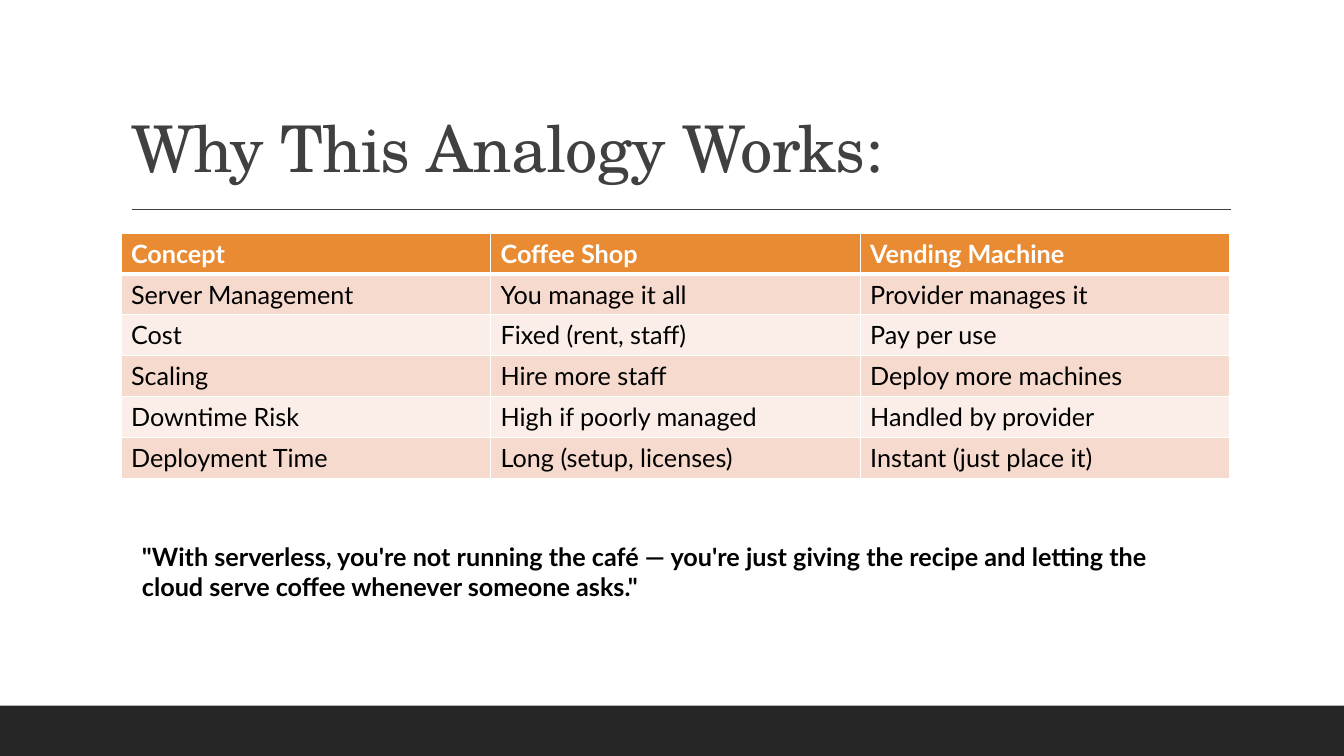
from lxml.etree import SubElement
from pptx import Presentation
from pptx.dml.color import RGBColor
from pptx.enum.shapes import MSO_CONNECTOR, MSO_SHAPE
from pptx.enum.text import MSO_ANCHOR, MSO_AUTO_SIZE, PP_ALIGN
from pptx.oxml.ns import qn
from pptx.util import Pt

WHITE = RGBColor(0xFF, 0xFF, 0xFF)
BLACK = RGBColor(0, 0, 0)
GRAY = RGBColor(0x40, 0x40, 0x40)
DARK = RGBColor(0x26, 0x26, 0x26)
ORANGE = RGBColor(0xE8, 0x8B, 0x33)
PEACH = RGBColor(0xF6, 0xDA, 0xCE)
PALE = RGBColor(0xFB, 0xEE, 0xE8)

ROWS = [
    ("Concept", "Coffee Shop", "Vending Machine"),
    ("Server Management", "You manage it all", "Provider manages it"),
    ("Cost", "Fixed (rent, staff)", "Pay per use"),
    ("Scaling", "Hire more staff", "Deploy more machines"),
    ("Downtime Risk", "High if poorly managed", "Handled by provider"),
    ("Deployment Time", "Long (setup, licenses)", "Instant (just place it)"),
]
QUOTE = (
    "\"With serverless, you're not running the café — you're just giving "
    "the recipe and letting the cloud serve coffee whenever someone asks.\""
)


def write(frame, text, font="Lato", size=18, color=BLACK, bold=False, lead=None, space=0):
    para = frame.paragraphs[0]
    para.alignment = PP_ALIGN.LEFT
    if lead:
        para.line_spacing = lead
    run = para.add_run()
    run.text = text
    run.font.name = font
    run.font.size = Pt(size)
    run.font.bold = bold
    run.font.color.rgb = color
    if space:
        run.font._element.set("spc", str(int(space * 100)))


def add_bar(slide):
    bar = slide.shapes.add_shape(MSO_SHAPE.RECTANGLE, Pt(0), Pt(504), Pt(960), Pt(36))
    bar.shadow.inherit = False
    bar.fill.solid()
    bar.fill.fore_color.rgb = DARK
    bar.line.fill.background()


def add_rule(slide):
    rule = slide.shapes.add_connector(
        MSO_CONNECTOR.STRAIGHT, Pt(94.3), Pt(149.5), Pt(879), Pt(149.5))
    rule.line.color.rgb = GRAY
    rule.line.width = Pt(1)
    SubElement(rule._element.spPr, qn("a:effectLst"))


def set_title(slide, text):
    title = slide.shapes.title
    title.left, title.top, title.width, title.height = Pt(86.4), Pt(22.5), Pt(792), Pt(114.2)
    frame = title.text_frame
    frame.auto_size = MSO_AUTO_SIZE.NONE
    frame.vertical_anchor = MSO_ANCHOR.BOTTOM
    write(frame, text, font="TeX Gyre Schola", size=46, color=GRAY, lead=0.9, space=-0.5)


def set_edges(cell, **widths):
    props = cell._tc.get_or_add_tcPr()
    for side in "LRTB":
        edge = SubElement(props, qn(f"a:ln{side}"), w=str(Pt(widths.get(side, 1))))
        fill = SubElement(edge, qn("a:solidFill"))
        SubElement(fill, qn("a:srgbClr"), val=str(WHITE))


def add_grid(slide, rows):
    high = 29.2
    table = slide.shapes.add_table(
        len(rows), len(rows[0]), Pt(86.4), Pt(166.4), Pt(792), Pt(high * len(rows))).table
    for i, row in enumerate(rows):
        table.rows[i].height = Pt(high)
        head = i == 0
        for j, text in enumerate(row):
            cell = table.cell(i, j)
            cell.vertical_anchor = MSO_ANCHOR.MIDDLE
            set_edges(cell, T=3 if i == 1 else 1, B=3 if head else 1)
            cell.fill.solid()
            cell.fill.fore_color.rgb = ORANGE if head else PEACH if i % 2 else PALE
            write(cell.text_frame, text, color=WHITE if head else BLACK, bold=head)


def add_quote(slide, text):
    box = slide.shapes.add_textbox(Pt(94.3), Pt(383), Pt(754.6), Pt(51))
    box.text_frame.word_wrap = True
    box.text_frame.auto_size = MSO_AUTO_SIZE.SHAPE_TO_FIT_TEXT
    write(box.text_frame, text, bold=True)


def main():
    deck = Presentation()
    deck.slide_width, deck.slide_height = Pt(960), Pt(540)
    slide = deck.slides.add_slide(deck.slide_layouts[5])
    add_bar(slide)
    add_rule(slide)
    set_title(slide, "Why This Analogy Works:")
    add_grid(slide, ROWS)
    add_quote(slide, QUOTE)
    deck.save("out.pptx")


if __name__ == "__main__":
    main()
